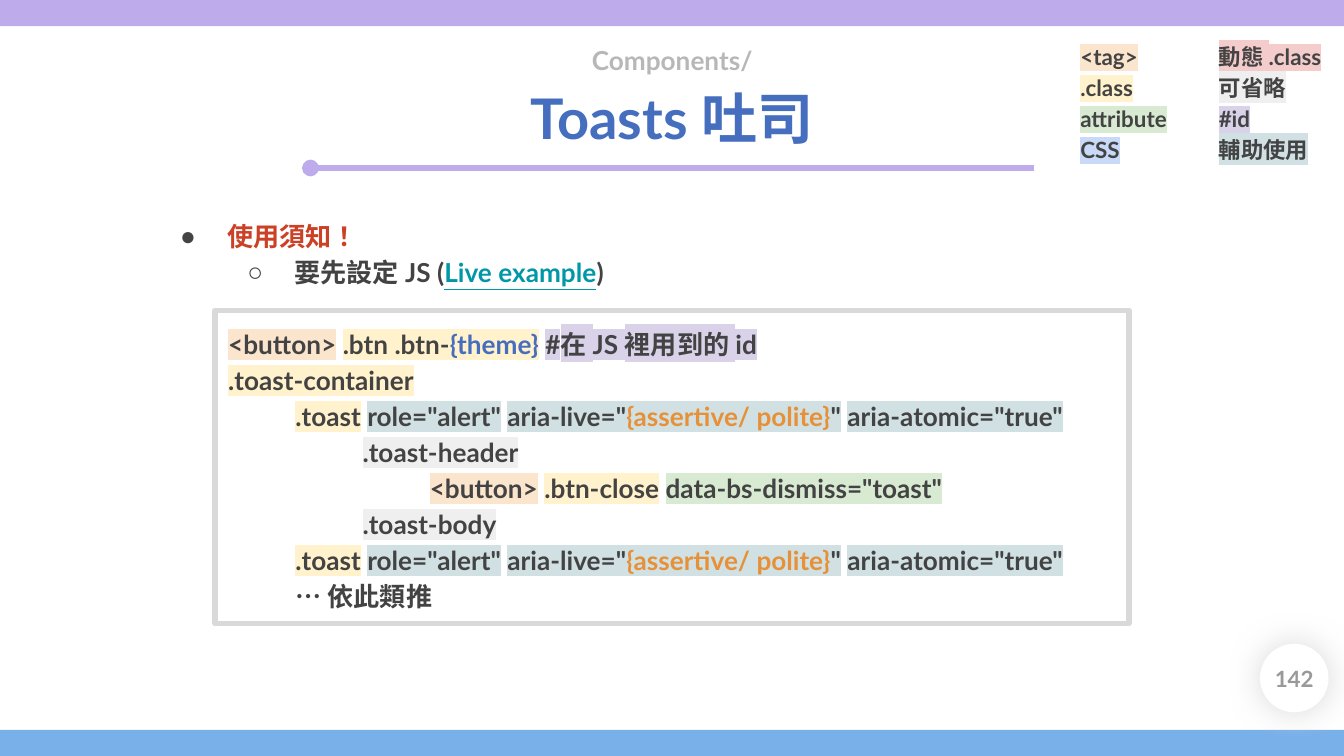
"""Build the Toasts slide with its class legend and markup outline."""
from lxml import etree
from pptx import Presentation
from pptx.dml.color import RGBColor
from pptx.enum.shapes import MSO_CONNECTOR, MSO_SHAPE
from pptx.enum.text import MSO_ANCHOR, MSO_AUTO_SIZE, PP_ALIGN
from pptx.oxml.ns import qn
from pptx.util import Pt

PX = 4572
RECT, OVAL = MSO_SHAPE.RECTANGLE, MSO_SHAPE.OVAL
LEFT, CENTER = PP_ALIGN.LEFT, PP_ALIGN.CENTER
TOP, MIDDLE = MSO_ANCHOR.TOP, MSO_ANCHOR.MIDDLE
FIXED = MSO_AUTO_SIZE.NONE
STRAIGHT = MSO_CONNECTOR.STRAIGHT

INK = RGBColor(0x43, 0x43, 0x43)
BLUE = RGBColor(0x46, 0x6E, 0xBE)
RED = RGBColor(0xCC, 0x41, 0x25)
TEAL = RGBColor(0x00, 0x97, 0xA7)
ORANGE = RGBColor(0xE6, 0x91, 0x38)
SILVER = RGBColor(0xB7, 0xB7, 0xB7)
GRAY = RGBColor(0x99, 0x99, 0x99)
EDGE = RGBColor(0xD9, 0xD9, 0xD9)
WHITE = RGBColor(0xFF, 0xFF, 0xFF)
PURPLE = RGBColor(0xBE, 0xAB, 0xEB)
SKY = RGBColor(0x79, 0xB0, 0xEA)
TAG = RGBColor(0xFC, 0xE5, 0xCD)
CLASS = RGBColor(0xFF, 0xF2, 0xCC)
ATTR = RGBColor(0xD9, 0xEA, 0xD3)
STYLE = RGBColor(0xC9, 0xDA, 0xF8)
LIVE = RGBColor(0xF4, 0xCC, 0xCC)
SPARE = RGBColor(0xEF, 0xEF, 0xEF)
NAME = RGBColor(0xD9, 0xD2, 0xE9)
AID = RGBColor(0xD0, 0xE0, 0xE3)


def tint(parent, tag, color):
    node = etree.SubElement(parent, qn(tag))
    etree.SubElement(node, qn("a:srgbClr")).set("val", str(color))
    return node


def write(shape, rows, size, align=LEFT, anchor=TOP, space=1.15):
    frame = shape.text_frame
    frame.word_wrap = True
    frame.auto_size = FIXED
    frame.vertical_anchor = anchor
    frame.margin_left = frame.margin_right = 20 * PX
    frame.margin_top = frame.margin_bottom = 20 * PX
    for i, (indent, parts) in enumerate(rows):
        para = frame.add_paragraph() if i else frame.paragraphs[0]
        para.alignment = align
        para.line_spacing = space
        para.space_before = Pt(0)
        props = para._p.get_or_add_pPr()
        props.set("marL", str(indent * PX))
        props.set("indent", "0")
        for text, color, mark in parts:
            run = para.add_run()
            run.text = text
            run.font.size = Pt(size)
            run.font.bold = True
            run.font.color.rgb = color
            look = run._r.get_or_add_rPr()
            look.set("lang", "zh-TW")
            look.set("kern", "0")
            if mark:
                tint(look, "a:highlight", mark)
            run.font.name = "Lato"


deck = Presentation()
deck.slide_width, deck.slide_height = 2000 * PX, 1125 * PX
slide = deck.slides.add_slide(deck.slide_layouts[1])
shapes = slide.shapes
title, body = slide.placeholders

rule = shapes.add_connector(STRAIGHT, 462 * PX, 250 * PX, 1538 * PX, 250 * PX)
rule.line.color.rgb = PURPLE
rule.line.width = Pt(3)
etree.SubElement(rule.line._get_or_add_ln(), qn("a:headEnd")).set("type", "oval")
etree.SubElement(rule._element.spPr, qn("a:effectLst"))

for top, color in ((0, PURPLE), (1086, SKY)):
    band = shapes.add_shape(RECT, 0, top * PX, 2002 * PX, 39 * PX)
    band.shadow.inherit = False
    band.fill.solid()
    band.fill.fore_color.rgb = color
    band.line.fill.background()

crumb = shapes.add_textbox(462 * PX, 39 * PX, 1077 * PX, 88 * PX)
write(crumb, [(0, [("Components/", SILVER, None)])], 14, CENTER)

title.left, title.top = 307 * PX, 89 * PX
title.width, title.height = 1386 * PX, 142 * PX
write(title, [(0, [("Toasts 吐司", BLUE, None)])], 30, CENTER)

body.left, body.top = 218 * PX, 301 * PX
body.width, body.height = 1562 * PX, 142 * PX
notes = [
    (100, [("使用須知！", RED, None)]),
    (200, [("要先設定 JS (", INK, None), ("Live example", TEAL, None),
           (")", INK, None)]),
]
write(body, notes, 14)
for level, mark in enumerate("●○"):
    para = body.text_frame.paragraphs[level]
    para.level = level
    props = para._p.get_or_add_pPr()
    props.set("indent", str(-70 * PX))
    tint(props, "a:buClr", INK)
    etree.SubElement(props, qn("a:buChar")).set("char", mark)
body.text_frame.paragraphs[1].runs[1].font.underline = True

disc = shapes.add_shape(OVAL, 1875 * PX, 958 * PX, 102 * PX, 102 * PX)
disc.shadow.inherit = False
disc.fill.solid()
disc.fill.fore_color.rgb = WHITE
disc.line.fill.background()
glow = tint(disc._element.spPr.find(qn("a:effectLst")), "a:outerShdw", EDGE)
glow.set("blurRad", str(Pt(18)))
glow.set("dist", "0")
glow.set("algn", "ctr")
glow.set("rotWithShape", "0")
page = shapes.add_textbox(1875 * PX, 959 * PX, 102 * PX, 102 * PX)
write(page, [(0, [("142", GRAY, None)])], 12, CENTER, MIDDLE, 1.0)

gap = (" ", INK, None)
button = ("<button>", INK, TAG)
toast = (100, [
    (".toast", INK, CLASS), gap, ('role="alert"', INK, AID), gap,
    ('aria-live="', INK, AID), ("{assertive/ polite}", ORANGE, AID),
    ('"', INK, AID), gap, ('aria-atomic="true"', INK, AID),
])
code = [
    (0, [button, gap, (".btn .btn-", INK, CLASS), ("{theme}", BLUE, CLASS),
         gap, ("#在 JS 裡用到的 id", INK, NAME)]),
    (0, [(".toast-container", INK, CLASS)]),
    toast,
    (200, [(".toast-header", INK, SPARE)]),
    (300, [button, gap, (".btn-close", INK, CLASS), gap,
           ('data-bs-dismiss="toast"', INK, ATTR)]),
    (200, [(".toast-body", INK, SPARE)]),
    toast,
    (100, [("… 依此類推", INK, None)]),
]
box = shapes.add_shape(RECT, 320 * PX, 462 * PX, 1360 * PX, 466 * PX)
box.shadow.inherit = False
box.fill.background()
box.line.color.rgb = EDGE
box.line.width = Pt(3)
write(box, code, 14)

legend = [
    [("<tag>", TAG), (".class", CLASS), ("attribute", ATTR), ("CSS", STYLE)],
    [("動態 .class", LIVE), ("可省略", SPARE), ("#id", NAME), ("輔助使用", AID)],
]
for col, words in enumerate(legend):
    key = shapes.add_textbox((1588 + 206 * col) * PX, 39 * PX, 206 * PX, 220 * PX)
    write(key, [(0, [(word, INK, mark)]) for word, mark in words], 12)

deck.save("out.pptx")
